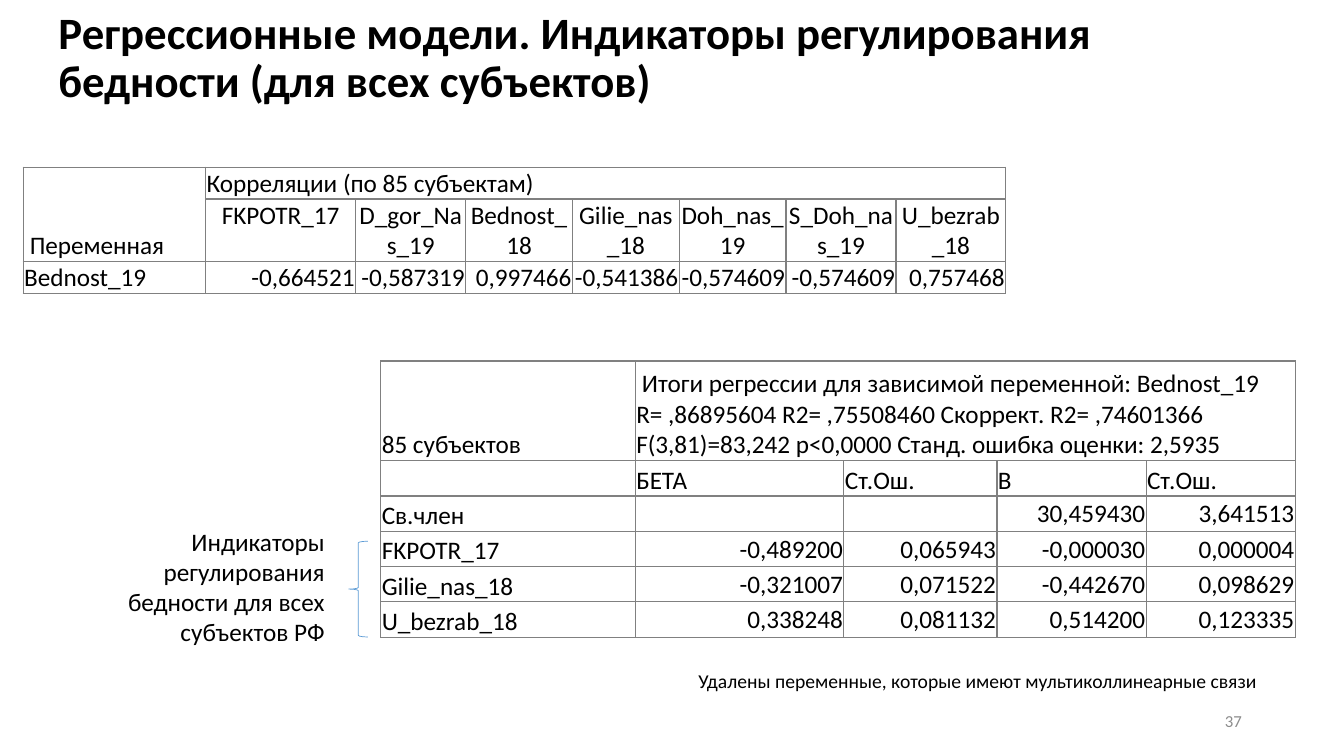
import pptx
import pptx.dml.color
import pptx.enum.shapes
import pptx.enum.text
import pptx.oxml
import pptx.oxml.ns
import pptx.util

Pt = pptx.util.Pt
RGB = pptx.dml.color.RGBColor
ALIGN = pptx.enum.text.PP_ALIGN
ANCHOR = pptx.enum.text.MSO_ANCHOR
LEFT, MID, RIGHT = ALIGN.LEFT, ALIGN.CENTER, ALIGN.RIGHT
TOP, CENTER, BOTTOM = ANCHOR.TOP, ANCHOR.MIDDLE, ANCHOR.BOTTOM

BLACK = RGB(0x00, 0x00, 0x00)
WHITE = RGB(0xFF, 0xFF, 0xFF)
GREY = RGB(0x8C, 0x8C, 0x8C)
BORDER = RGB(0x80, 0x80, 0x80)
BLUE = RGB(0x5B, 0x9B, 0xD5)


def write(frame, text, align=LEFT, size=18, color=BLACK, bold=False):
    frame.text = text
    for para in frame.paragraphs:
        para.alignment = align
        for run in para.runs:
            look = {"name": "Calibri", "size": Pt(size), "bold": bold}
            for key, value in look.items():
                setattr(run.font, key, value)
            run.font.color.rgb = color


def add_grid(left, top, widths, heights, rows):
    """Draw a bordered table; a row is (first anchor, other anchor, other align, texts)."""
    frame = slide.shapes.add_table(
        len(heights), len(widths), Pt(left), Pt(top), Pt(sum(widths)), Pt(sum(heights)))
    grid = frame.table
    grid.first_row = grid.horz_banding = False
    for col, width in zip(grid.columns, widths):
        col.width = Pt(width)
    for row, height in zip(grid.rows, heights):
        row.height = Pt(height)
    for r, (first, anchor, align, texts) in enumerate(rows):
        for c in range(len(widths)):
            cell = grid.cell(r, c)
            props = cell._tc.get_or_add_tcPr()
            for side in ("lnL", "lnR", "lnT", "lnB"):
                props.append(pptx.oxml.parse_xml(
                    f'<a:{side} {pptx.oxml.ns.nsdecls("a")} w="{Pt(1)}"><a:solidFill>'
                    f'<a:srgbClr val="{BORDER}"/></a:solidFill></a:{side}>'))
            cell.fill.solid()
            cell.fill.fore_color.rgb = WHITE
            look = {"margin_left": Pt(0.7), "margin_right": Pt(0.7),
                    "margin_top": Pt(0.7), "margin_bottom": Pt(0),
                    "vertical_anchor": anchor if c else first}
            for key, value in look.items():
                setattr(cell, key, value)
            if c < len(texts):
                write(cell.text_frame, texts[c], align if c else LEFT)
    return grid


deck = pptx.Presentation()
deck.slide_width, deck.slide_height = Pt(960), Pt(540)
slide = deck.slides.add_slide(deck.slide_layouts[6])

models = add_grid(
    16.56, 119.5, [130.3, 107.3, 78.5, 76.3, 76.3, 76.3, 78.5, 78.5], [18, 35.3, 18],
    [(BOTTOM, TOP, LEFT, [" Переменная", "Корреляции (по 85 субъектам)"]),
     (TOP, TOP, MID, ["", "FKPOTR_17", "D_gor_Nas_19", "Bednost_18", "Gilie_nas_18",
                      "Doh_nas_19", "S_Doh_nas_19", "U_bezrab_18"]),
     (CENTER, CENTER, RIGHT, ["Bednost_19", "-0,664521", "-0,587319", "0,997466",
                              "-0,541386", "-0,574609", "-0,574609", "0,757468"])])
models.cell(0, 0).merge(models.cell(1, 0))
models.cell(0, 1).merge(models.cell(0, 7))

summary = (" Итоги регрессии для зависимой переменной: Bednost_19\n"
           "R= ,86895604 R2= ,75508460 Скоррект. R2= ,74601366\v"
           "F(3,81)=83,242 p<0,0000 Станд. ошибка оценки: 2,5935")
values = [["Св.член", "", "", "30,459430", "3,641513"],
          ["FKPOTR_17", "-0,489200", "0,065943", "-0,000030", "0,000004"],
          ["Gilie_nas_18", "-0,321007", "0,071522", "-0,442670", "0,098629"],
          ["U_bezrab_18", "0,338248", "0,081132", "0,514200", "0,123335"]]
result = add_grid(
    272, 257.8, [181.8, 149, 109.4, 106.5, 106.5], [71.3] + [25.2] * 5,
    [(BOTTOM, BOTTOM, LEFT, ["85 субъектов", summary]),
     (BOTTOM, BOTTOM, LEFT, ["", "БЕТА", "Ст.Ош.", "B", "Ст.Ош."])]
    + [(BOTTOM, CENTER, RIGHT, texts) for texts in values])
result.cell(0, 1).merge(result.cell(0, 4))

brace = slide.shapes.add_shape(
    pptx.enum.shapes.MSO_SHAPE.LEFT_BRACE, Pt(249.1), Pt(386.6), Pt(13.7), Pt(68.4))
brace.shadow.inherit = False
brace.fill.background()
brace.line.color.rgb = BLUE
brace.line.width = Pt(0.5)

labels = [
    ((34.6, 0, 828, 84.2), CENTER,
     "Регрессионные модели. Индикаторы регулирования бедности (для всех субъектов)",
     {"size": 32, "bold": True}),
    ((491.8, 474, 433.4, 24.4), TOP,
     "Удалены переменные, которые имеют мультиколлинеарные связи", {"size": 14}),
    ((56.2, 372.2, 182.9, 94.3), TOP,
     "Индикаторы регулирования бедности для всех субъектов РФ", {"align": RIGHT}),
    ((678.2, 500.4, 216, 28.8), CENTER, "37",
     {"align": RIGHT, "size": 12, "color": GREY}),
]
for place, anchor, text, look in labels:
    frame = slide.shapes.add_textbox(*map(Pt, place)).text_frame
    frame.word_wrap = True
    frame.vertical_anchor = anchor
    write(frame, text, **look)
    if look.get("bold"):
        frame.paragraphs[0].line_spacing = 0.9

deck.save("out.pptx")
